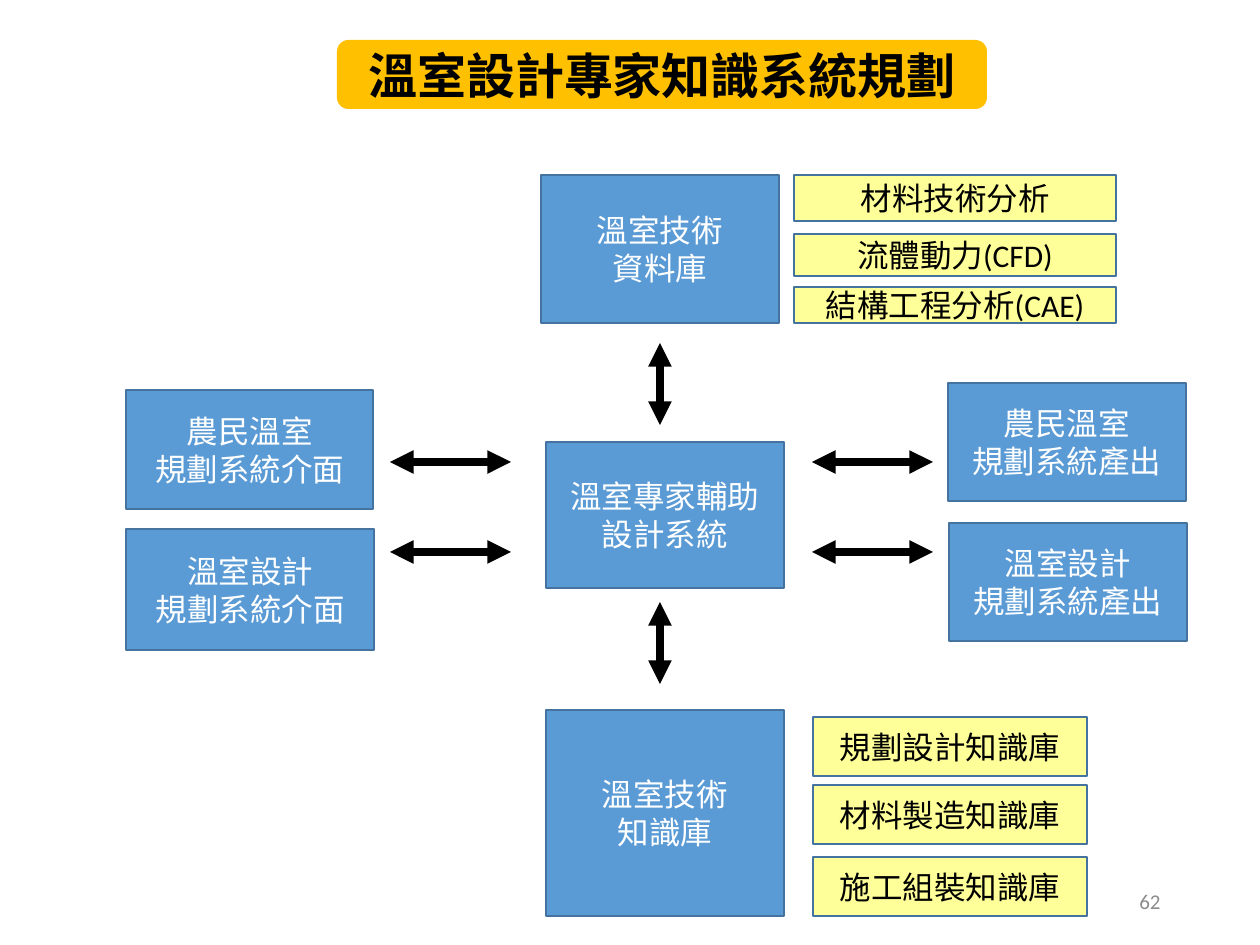
import pptx
import pptx.util
import pptx.dml.color
import pptx.enum.shapes
import pptx.enum.text
import pptx.oxml.ns
from lxml import etree

PX = 914400 / 126
SHAPE = pptx.enum.shapes.MSO_SHAPE
ALIGN = pptx.enum.text.PP_ALIGN
BLUE, EDGE, YELLOW = "5B9BD5", "43739E", "FFFF99"

TITLE = "溫室設計專家知識系統規劃"
PAGE_NUMBER = "62"

# lines of text, (left, top, width, height)
MODULES = [
    (["溫室技術", "資料庫"], (541, 175, 238, 148)),
    (["溫室技術", "知識庫"], (546, 710, 238, 206)),
    (["農民溫室", "規劃系統介面"], (126, 390, 247, 119)),
    (["溫室設計", "規劃系統介面"], (126, 529, 248, 121)),
    (["溫室專家輔助", "設計系統"], (546, 442, 238, 146)),
    (["農民溫室", "規劃系統產出"], (948, 383, 238, 118)),
    (["溫室設計", "規劃系統產出"], (949, 523, 238, 118)),
]

# left and width of each column, then text, top and height of its items
TOPIC_COLUMNS = [
    (794, 322, [("材料技術分析", 175, 46), ("流體動力(CFD)", 234, 42),
                ("結構工程分析(CAE)", 287, 36)]),
    (813, 274, [("規劃設計知識庫", 717, 59), ("材料製造知識庫", 785, 59),
                ("施工組裝知識庫", 857, 59)]),
]

# double arrows: a vertical pair on one axis, and two rows on each side
AXIS, VERTICAL_TOPS, VERTICAL_LENGTH = 660, (343, 602), 82
SIDE_LEFTS, SIDE_ROWS, SIDE_LENGTH = (390, 812), (462, 552), 121


def px(value):
    return pptx.util.Emu(round(value * PX))


def color(value):
    return pptx.dml.color.RGBColor.from_string(value)


def write(shape, lines, size=18, ink="000000", bold=False, align=ALIGN.CENTER):
    frame = shape.text_frame
    frame.word_wrap = True
    frame.vertical_anchor = pptx.enum.text.MSO_ANCHOR.MIDDLE
    for index, line in enumerate(lines):
        para = frame.paragraphs[0] if index == 0 else frame.add_paragraph()
        para.alignment = align
        span = para.add_run()
        span.text = line
        span.font.name = "Calibri"
        span.font.size = pptx.util.Pt(size)
        span.font.bold = bold
        span.font.color.rgb = color(ink)


def add_box(page, lines, place, fill, edge=EDGE, kind=SHAPE.RECTANGLE, **text_format):
    box = page.shapes.add_shape(kind, *map(px, place))
    box.shadow.inherit = False
    box.fill.solid()
    box.fill.fore_color.rgb = color(fill)
    if edge:
        box.line.color.rgb = color(edge)
        box.line.width = pptx.util.Pt(1)
    else:
        box.line.fill.background()
    write(box, lines, **text_format)


def add_double_arrow(page, *ends):
    arrow = page.shapes.add_connector(
        pptx.enum.shapes.MSO_CONNECTOR.STRAIGHT, *map(px, ends))
    arrow.line.color.rgb = color("000000")
    arrow.line.width = pptx.util.Pt(4.5)
    line = arrow.line._get_or_add_ln()
    for end in ("a:headEnd", "a:tailEnd"):
        etree.SubElement(line, pptx.oxml.ns.qn(end), type="triangle")
    etree.SubElement(arrow._element.spPr, pptx.oxml.ns.qn("a:effectLst"))


def main():
    deck = pptx.Presentation()
    deck.slide_width, deck.slide_height = px(1260), px(945)
    page = deck.slides.add_slide(deck.slide_layouts[6])

    # Page number
    number = page.shapes.add_textbox(*map(px, (890, 876, 283, 50)))
    write(number, [PAGE_NUMBER], size=12, ink="8C8C8C", align=ALIGN.RIGHT)

    # System modules
    for lines, place in MODULES:
        add_box(page, lines, place, BLUE, ink="FFFFFF")

    # Arrows around the central module
    for top in VERTICAL_TOPS:
        add_double_arrow(page, AXIS, top, AXIS, top + VERTICAL_LENGTH)
    for left in SIDE_LEFTS:
        for row in SIDE_ROWS:
            add_double_arrow(page, left + SIDE_LENGTH, row, left, row)

    # Topics beside the database and the knowledge base
    for left, width, topics in TOPIC_COLUMNS:
        for text, top, height in topics:
            add_box(page, [text], (left, top, width, height), YELLOW)

    # Title
    add_box(page, [TITLE], (337, 40, 650, 69), "FFC000", edge=None,
            kind=SHAPE.ROUNDED_RECTANGLE, size=28, bold=True)

    deck.save("out.pptx")


if __name__ == "__main__":
    main()
